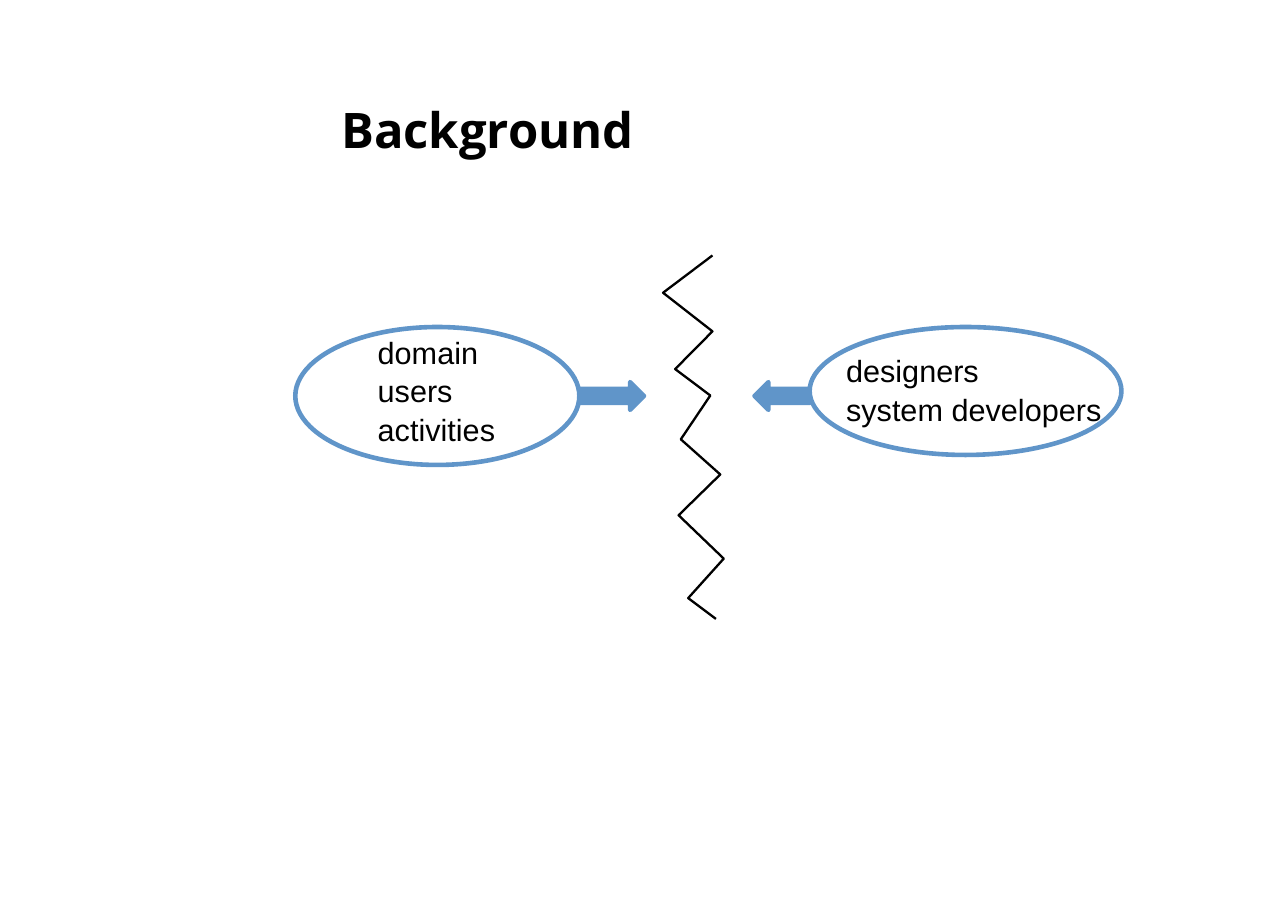
import pptx
import pptx.dml.color
import pptx.enum.shapes
import pptx.enum.text
import pptx.util

Cm = pptx.util.Cm
Pt = pptx.util.Pt
PRESET = pptx.enum.shapes.MSO_SHAPE
BLUE = "6095C9"
BLACK = "000000"


def color(hex_code):
    """Return the colour for a hex string."""
    return pptx.dml.color.RGBColor.from_string(hex_code)


def place(shape, box):
    """Move and size a shape to a box in centimetres."""
    shape.left, shape.top, shape.width, shape.height = (Cm(length) for length in box)


def write(shape, lines, font, size, bold=False, spacing=1.0):
    """Write lines of left-aligned text from the top of a shape."""
    frame = shape.text_frame
    frame.word_wrap = True
    frame.auto_size = pptx.enum.text.MSO_AUTO_SIZE.NONE
    frame.vertical_anchor = pptx.enum.text.MSO_ANCHOR.TOP
    frame.margin_left = frame.margin_right = frame.margin_bottom = 0
    frame.margin_top = Cm(0.03)
    for index, line in enumerate(lines):
        paragraph = frame.add_paragraph() if index else frame.paragraphs[0]
        paragraph.alignment = pptx.enum.text.PP_ALIGN.LEFT
        paragraph.line_spacing = spacing
        paragraph.space_before = Pt(0 if index else 1)
        run = paragraph.add_run()
        run.text = line
        run.font.name = font
        run.font.size = Pt(size)
        run.font.bold = bold
        run.font.color.rgb = color(BLACK)


def outline(shape, line_color, width, fill=None):
    """Set the line and the optional fill of a shape without shadow."""
    shape.shadow.inherit = False
    shape.line.color.rgb = color(line_color)
    shape.line.width = Pt(width)
    if fill:
        shape.fill.solid()
        shape.fill.fore_color.rgb = color(fill)
    else:
        shape.fill.background()


def add_title(slide, box, title):
    """Format the title placeholder in its box."""
    place(slide.shapes.title, box)
    write(slide.shapes.title, [title], "Open Sans", 32, bold=True)


def add_group(slide, box, members, inset, text_size, arrow_length, points_right):
    """Draw an oval naming its members, with an arrow towards the gap."""
    left, top, width, height = box
    names = slide.shapes.add_textbox(0, 0, 0, 0)
    place(names, (left + inset[0], top + inset[1], *text_size))
    write(names, members, "Arial", 20, spacing=1.05)

    oval = slide.shapes.add_shape(PRESET.OVAL, *(Cm(length) for length in box))
    outline(oval, BLUE, 3)

    preset = PRESET.RIGHT_ARROW if points_right else PRESET.LEFT_ARROW
    arrow_left = left + width if points_right else left - arrow_length
    arrow = slide.shapes.add_shape(
        preset, Cm(arrow_left), Cm(top + 1.27), Cm(arrow_length), Cm(0.64))
    outline(arrow, BLUE, 3, fill=BLUE)


def add_gap(slide, left, top):
    """Draw the zigzag that separates the two groups."""
    bends = [(1.14, 0), (0, 0.86), (1.14, 1.75), (0.28, 2.62), (1.09, 3.23),
             (0.41, 4.24), (1.32, 5.05), (0.36, 5.99), (1.4, 6.99),
             (0.58, 7.9), (1.22, 8.38)]
    start, *others = [(Cm(left + x), Cm(top + y)) for x, y in bends]
    builder = slide.shapes.build_freeform(*start)
    builder.add_line_segments(others, close=False)
    outline(builder.convert_to_shape(), BLACK, 1.5)


def build_background(presentation):
    """Build the slide with two groups and the gap between them."""
    slide = presentation.slides.add_slide(presentation.slide_layouts[5])
    add_title(slide, (7.87, 2.26, 7.65, 1.42), "Background")
    add_group(slide, (6.81, 7.54, 6.55, 3.18), ["domain", "users", "activities"],
              (1.9, 0.08), (2.77, 2.62), 1.49, points_right=True)
    add_group(slide, (18.67, 7.54, 7.19, 2.95), ["designers", "system developers"],
              (0.84, 0.51), (5.94, 1.75), 1.27, points_right=False)
    add_gap(slide, 15.29, 5.89)


deck = pptx.Presentation()
deck.slide_width = Cm(29.7)
deck.slide_height = Cm(20.98)
build_background(deck)
deck.save("out.pptx")
